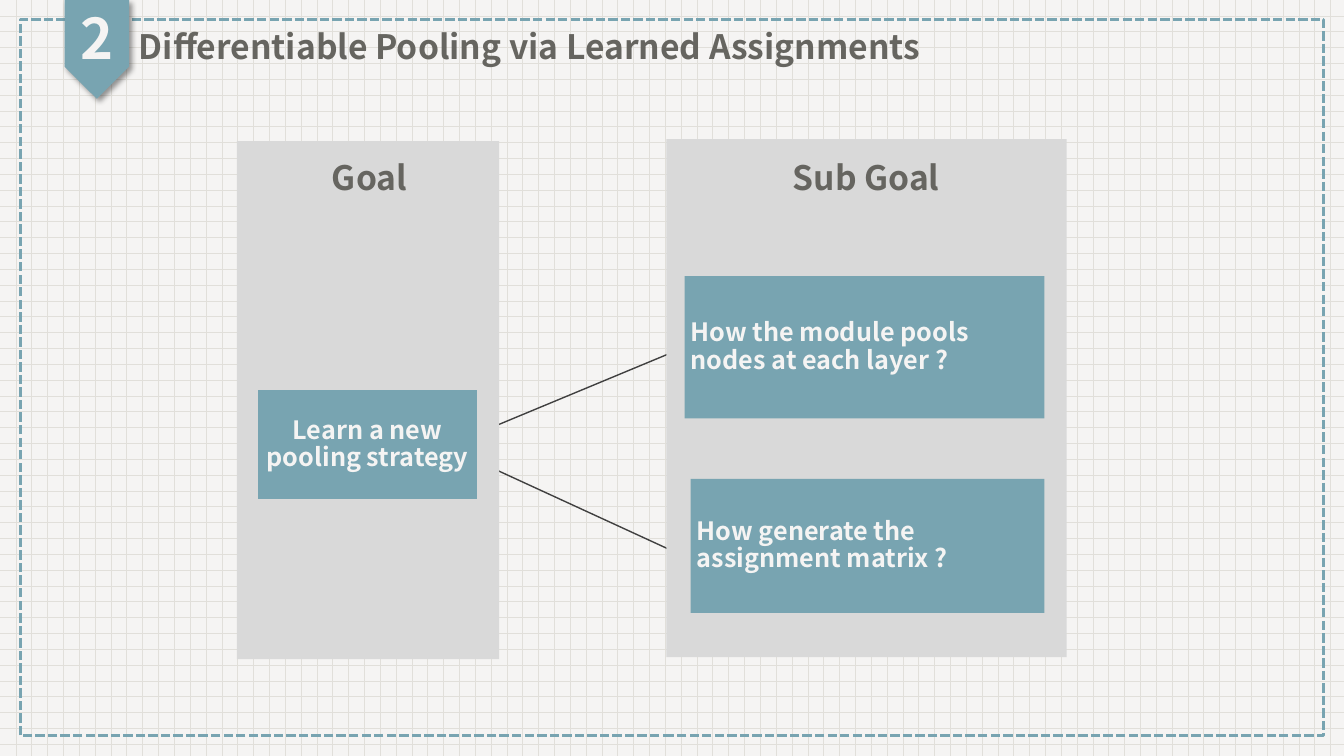
"""Build the slide that splits the pooling goal into two sub goals."""
from dataclasses import dataclass

from lxml.etree import SubElement
from pptx import Presentation
from pptx.dml.color import RGBColor
from pptx.enum.dml import MSO_LINE, MSO_PATTERN
from pptx.enum.shapes import MSO_CONNECTOR, MSO_SHAPE
from pptx.enum.text import MSO_ANCHOR, PP_ALIGN
from pptx.oxml import parse_xml
from pptx.oxml.ns import nsdecls, qn
from pptx.util import Inches, Pt


@dataclass(frozen=True)
class Theme:
    font: str = "Noto Sans CJK SC"
    paper: RGBColor = RGBColor(0xF5, 0xF4, 0xF3)
    grid: RGBColor = RGBColor(0xE1, 0xDF, 0xDA)
    teal: RGBColor = RGBColor(0x78, 0xA4, 0xB1)
    panel: RGBColor = RGBColor(0xD9, 0xD9, 0xD9)
    ink: RGBColor = RGBColor(0x66, 0x65, 0x60)
    link: RGBColor = RGBColor(0x40, 0x40, 0x40)
    number_size: int = 40
    heading_size: int = 24
    body_size: int = 18


theme = Theme()


def add_block(left, top, width, height, fill, kind=MSO_SHAPE.RECTANGLE):
    shape = slide.shapes.add_shape(kind, Inches(left), Inches(top), Inches(width), Inches(height))
    shape.shadow.inherit = False
    shape.line.fill.background()
    if fill is None:
        shape.fill.background()
    else:
        shape.fill.solid()
        shape.fill.fore_color.rgb = fill
    return shape


def write_text(shape, text, size, color, align=PP_ALIGN.LEFT, spacing=1.0,
               anchor=MSO_ANCHOR.MIDDLE, wrap=True, inset=None):
    frame = shape.text_frame
    frame.word_wrap = wrap
    frame.vertical_anchor = anchor
    if inset is not None:
        frame.margin_left = frame.margin_right = Inches(inset)
        frame.margin_top = frame.margin_bottom = Inches(inset)
    paragraph = frame.paragraphs[0]
    paragraph.alignment = align
    paragraph.line_spacing = spacing
    run = paragraph.add_run()
    run.text = text
    run.font.name = theme.font
    run.font.size = Pt(size)
    run.font.bold = True
    run.font.color.rgb = color
    properties = run.font._element
    SubElement(properties, qn("a:ea")).set("typeface", theme.font)


presentation = Presentation()
presentation.slide_width = Inches(13.33)
presentation.slide_height = Inches(7.5)
slide = presentation.slides.add_slide(presentation.slide_layouts[6])

background = slide.background.fill
background.patterned()
background.pattern = MSO_PATTERN.DOTTED_GRID
background.fore_color.rgb = theme.grid
background.back_color.rgb = theme.paper

border = add_block(0.2, 0.19, 12.93, 7.11, None)
border.line.color.rgb = theme.teal
border.line.width = Pt(2.25)
border.line.dash_style = MSO_LINE.SQUARE_DOT

ribbon = add_block(0.47, 0.17, 0.98, 0.64, theme.teal, MSO_SHAPE.PENTAGON)
ribbon.rotation = 90
effects = ribbon._element.spPr.find(qn("a:effectLst"))
effects.append(parse_xml(
    f'<a:outerShdw {nsdecls("a")} blurRad="{Pt(4)}" dist="{Pt(3)}" dir="2700000" '
    'algn="tl" rotWithShape="0"><a:srgbClr val="000000"><a:alpha val="40000"/>'
    '</a:srgbClr></a:outerShdw>'))

for start_x, start_y, end_x, end_y in [(4.81, 4.61, 7.81, 5.99), (4.83, 4.26, 7.98, 2.95)]:
    link = slide.shapes.add_connector(
        MSO_CONNECTOR.STRAIGHT, Inches(start_x), Inches(start_y), Inches(end_x), Inches(end_y))
    link.line.color.rgb = theme.link
    link.line.width = Pt(1)
    SubElement(link._element.spPr, qn("a:effectLst"))

number = slide.shapes.add_textbox(Inches(0.64), Inches(0), Inches(0.64), Inches(0.82))
write_text(number, "2", theme.number_size, theme.paper, align=PP_ALIGN.CENTER, spacing=0.9)
title = slide.shapes.add_textbox(Inches(1.28), Inches(0.23), Inches(8.86), Inches(0.51))
write_text(title, "Differentiable Pooling via Learned Assignments",
           theme.heading_size, theme.ink, spacing=0.9)

add_block(6.61, 1.38, 3.97, 5.14, theme.panel)
add_block(2.35, 1.4, 2.6, 5.14, theme.panel)

cards = [
    (2.56, 3.87, 2.17, 1.08, "Learn a new pooling strategy", PP_ALIGN.CENTER),
    (6.79, 2.74, 3.57, 1.41, "How the module pools nodes at each layer ?", PP_ALIGN.LEFT),
    (6.85, 4.75, 3.51, 1.33, "How generate the assignment matrix ?", PP_ALIGN.LEFT),
]
for left, top, width, height, text, align in cards:
    card = add_block(left, top, width, height, theme.teal)
    write_text(card, text, theme.body_size, theme.paper, align=align, spacing=0.9, inset=0.06)

for left, width, text in [(3.13, 1.07, "Goal"), (7.68, 1.82, "Sub Goal")]:
    heading = slide.shapes.add_textbox(Inches(left), Inches(1.51), Inches(width), Inches(0.5))
    write_text(heading, text, theme.heading_size, theme.ink, align=PP_ALIGN.CENTER,
               anchor=MSO_ANCHOR.TOP, wrap=False)

presentation.save("out.pptx")
